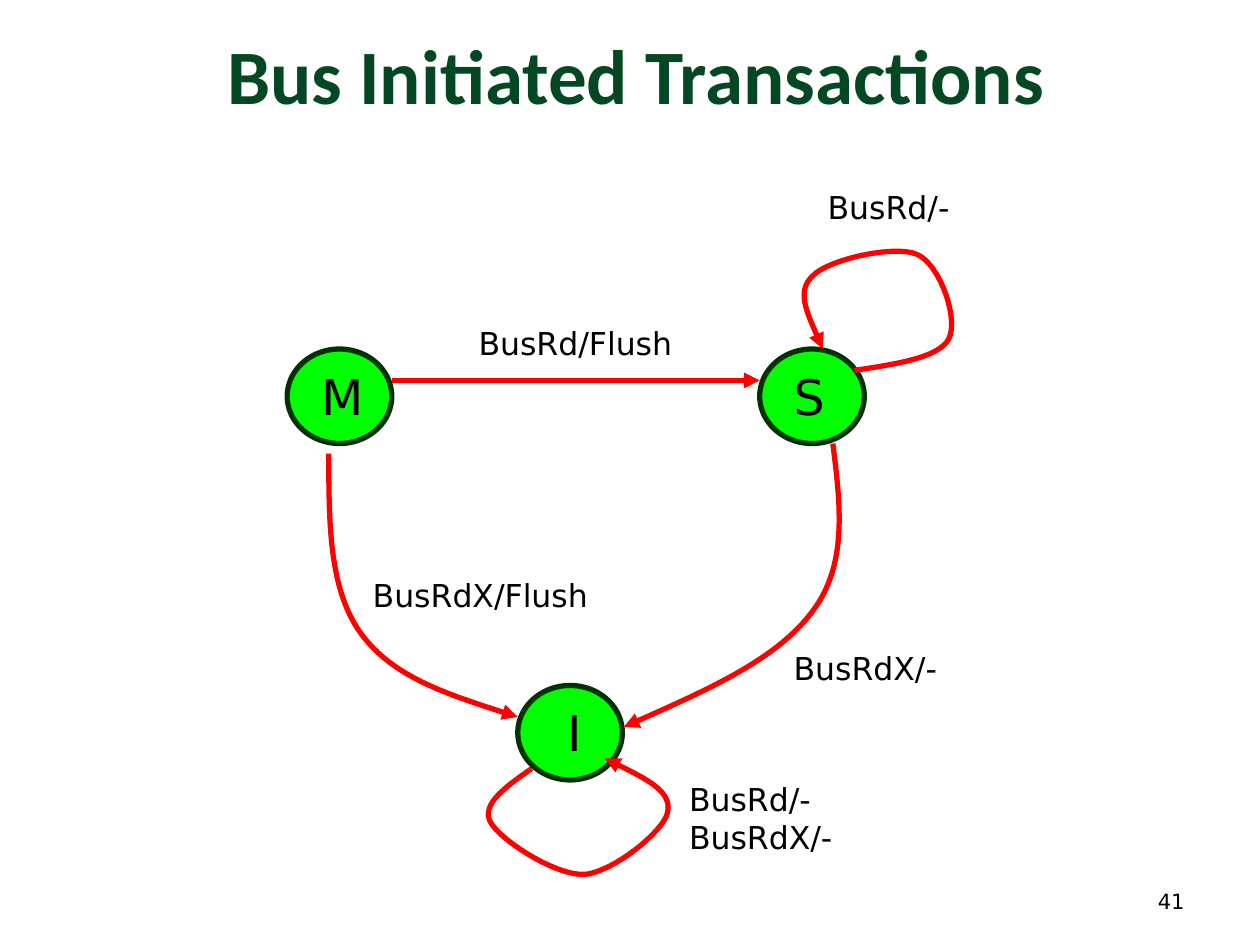
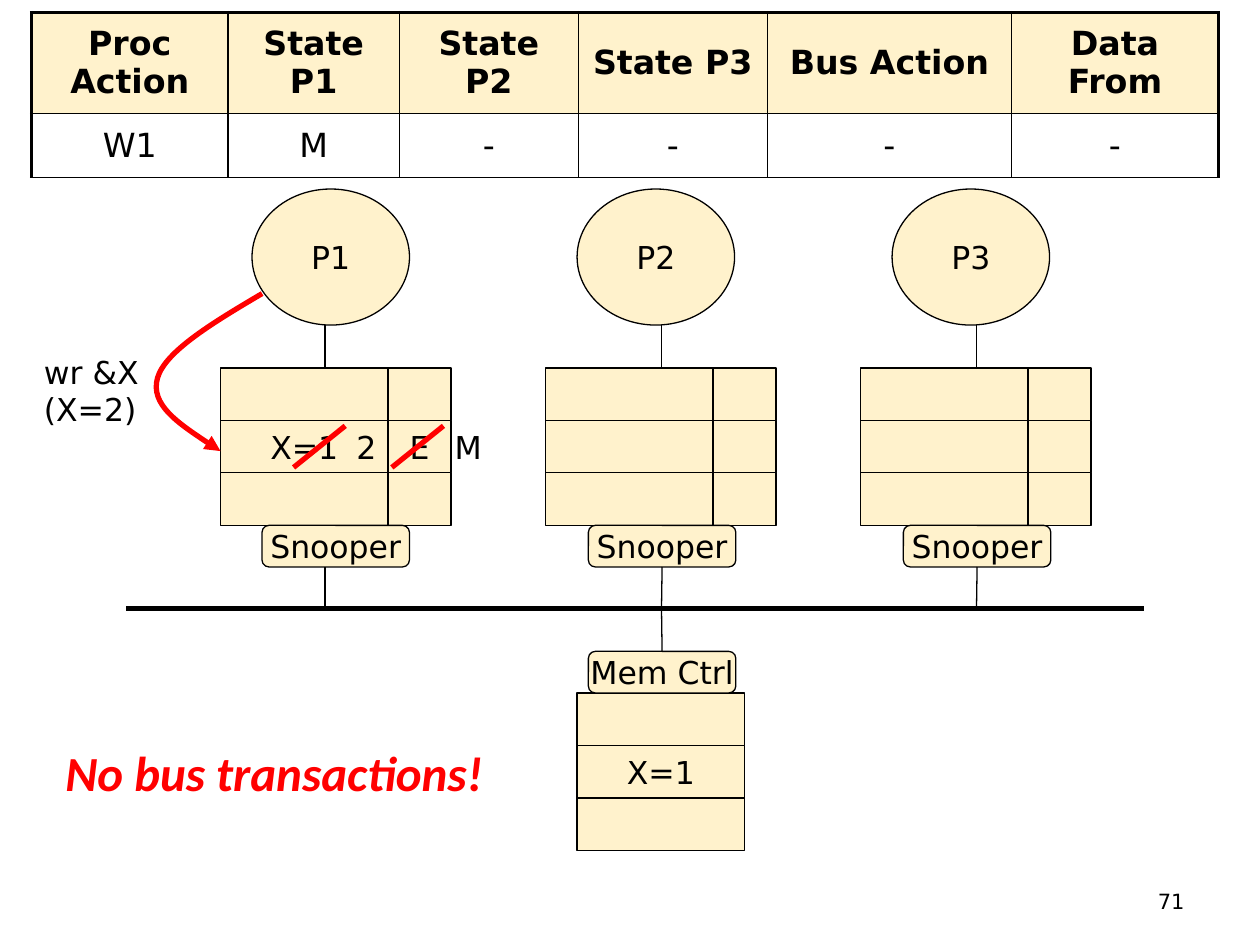
from lxml import etree
from pptx import Presentation
from pptx.dml.color import RGBColor
from pptx.enum import shapes, text
from pptx.oxml.ns import qn
from pptx.util import Inches, Pt

BLACK = RGBColor(0x00, 0x00, 0x00)
RED = RGBColor(0xFF, 0x00, 0x00)
TITLE_GREEN = RGBColor(0x04, 0x48, 0x23)
STATE_GREEN = RGBColor(0x00, 0xFF, 0x00)
OUTLINE_GREEN = RGBColor(0x00, 0x33, 0x00)
CREAM = RGBColor(0xFF, 0xF2, 0xCC)

BODY_FONT = "DejaVu Sans"
TITLE_FONT = "Calibri"
LEFT, CENTER, RIGHT = text.PP_ALIGN.LEFT, text.PP_ALIGN.CENTER, text.PP_ALIGN.RIGHT
TOP, MIDDLE = text.MSO_ANCHOR.TOP, text.MSO_ANCHOR.MIDDLE
OVAL = shapes.MSO_SHAPE.OVAL
RECTANGLE = shapes.MSO_SHAPE.RECTANGLE
ROUNDED = shapes.MSO_SHAPE.ROUNDED_RECTANGLE
SITE_TOP, SITE_BOTTOM = 0, 2

ROW_HEIGHT = 5 / 12
BLOCK_WIDTH, STATE_WIDTH = 1.33, 0.5
CACHE_TOP, MEMORY_TOP = 2.92, 5.5
BUS_Y = 4.83


def write_text(frame, content, size=18, font=BODY_FONT, color=BLACK, bold=False,
               italic=False, align=LEFT, anchor=TOP, wrap=False):
    """Fill a text frame, one paragraph for each line of content."""
    frame.word_wrap = wrap
    frame.vertical_anchor = anchor
    for index, line in enumerate(content.split("\n")):
        paragraph = frame.paragraphs[0] if index == 0 else frame.add_paragraph()
        paragraph.alignment = align
        run = paragraph.add_run()
        run.text = line
        run.font.size = Pt(size)
        run.font.name = font
        run.font.color.rgb = color
        run.font.bold = bold
        run.font.italic = italic


def set_line(line, color, width, arrow=False):
    line.color.rgb = color
    line.width = Pt(width)
    if arrow:
        etree.SubElement(line._get_or_add_ln(), qn("a:tailEnd"), type="triangle")


def set_cell_borders(cell, widths):
    """Draw the borders; widths are points for left, right, top, bottom."""
    properties = cell._tc.get_or_add_tcPr()
    for side, width in zip("LRTB", widths):
        border = etree.SubElement(properties, qn(f"a:ln{side}"), w=str(Pt(width)))
        fill = etree.SubElement(border, qn("a:solidFill"))
        etree.SubElement(fill, qn("a:srgbClr"), val=str(BLACK))


class Deck:
    """Holds the presentation, its style and the current slide."""

    def __init__(self):
        self.presentation = Presentation()
        self.presentation.slide_width = Inches(10)
        self.presentation.slide_height = Inches(7.5)
        self.slide = None

    def new_slide(self, number):
        self.slide = self.presentation.slides.add_slide(self.presentation.slide_layouts[6])
        self.text(number, 7.17, 6.95, 2.33, 0.4, size=12, align=RIGHT,
                  anchor=MIDDLE, wrap=True)

    def title(self, content):
        self.text(content, 0.28, -0.04, 9.54, 1.25, size=44, font=TITLE_FONT, bold=True,
                  color=TITLE_GREEN, align=CENTER, anchor=MIDDLE, wrap=True)

    def text(self, content, left, top, width, height, **style):
        box = self.slide.shapes.add_textbox(
            Inches(left), Inches(top), Inches(width), Inches(height))
        write_text(box.text_frame, content, **style)

    def shape(self, kind, left, top, width, height, label="",
              fill=CREAM, line=BLACK, line_width=0.75):
        shape = self.slide.shapes.add_shape(
            kind, Inches(left), Inches(top), Inches(width), Inches(height))
        shape.shadow.inherit = False
        shape.fill.solid()
        shape.fill.fore_color.rgb = fill
        set_line(shape.line, line, line_width)
        if label:
            write_text(shape.text_frame, label, align=CENTER, anchor=MIDDLE)
        return shape

    def line(self, start, end, color=BLACK, width=0.75, arrow=False):
        connector = self.slide.shapes.add_connector(
            shapes.MSO_CONNECTOR.STRAIGHT, *map(Inches, start + end))
        set_line(connector.line, color, width, arrow)
        etree.SubElement(connector._element.spPr, qn("a:effectLst"))
        return connector

    def curved_arrow(self, start, *points):
        """Draw cubic curves; each takes two control points and an end point."""
        builder = self.slide.shapes.build_freeform(*map(Inches, start))
        builder.add_line_segments(
            [(Inches(x), Inches(y)) for x, y in points], close=False)
        shape = builder.convert_to_shape()
        segments = list(shape._element.iter(qn("a:lnTo")))
        for first in range(0, len(segments), 3):
            curve = etree.Element(qn("a:cubicBezTo"))
            segments[first].addprevious(curve)
            for segment in segments[first:first + 3]:
                curve.append(segment[0])
                segment.getparent().remove(segment)
        shape.shadow.inherit = False
        shape.fill.background()
        set_line(shape.line, RED, 3, arrow=True)

    def state(self, name, left, top):
        self.shape(OVAL, left, top, 0.83, 0.75, fill=STATE_GREEN,
                   line=OUTLINE_GREEN, line_width=3)
        self.text(name, left + 0.17, top + 0.09, 0.5, 0.57, size=28, wrap=True)

    def cells(self, left, top, width, labels):
        """Stack one box for each label."""
        for row, label in enumerate(labels):
            self.shape(RECTANGLE, left, top + row * ROW_HEIGHT, width, ROW_HEIGHT, label)

    def controller(self, label, left, top):
        return self.shape(ROUNDED, left, top, 1.17, 0.33, label)

    def processor(self, name, left, wire_x, snooper_left, data="", state=""):
        self.shape(OVAL, left + 0.25, 1.5, 1.25, 1.08, name)
        self.line((wire_x, 2.58), (wire_x, CACHE_TOP))
        self.cells(left, CACHE_TOP, BLOCK_WIDTH, ["", data, ""])
        self.cells(left + BLOCK_WIDTH, CACHE_TOP, STATE_WIDTH, ["", state, ""])
        snooper = self.controller("Snooper", snooper_left, 4.17)
        wire = self.line((wire_x, 4.5), (wire_x, BUS_Y))
        if abs(snooper_left + 1.17 / 2 - wire_x) < 0.01:
            wire.begin_connect(snooper, SITE_BOTTOM)

    def table(self, rows, left, top, column_widths, row_heights):
        table = self.slide.shapes.add_table(
            len(rows), len(column_widths), Inches(left), Inches(top),
            Inches(sum(column_widths)), Inches(sum(row_heights))).table
        table.first_row = table.horz_banding = False
        for column, width in zip(table.columns, column_widths):
            column.width = Inches(width)
        last = len(column_widths) - 1
        for row, labels in enumerate(rows):
            table.rows[row].height = Inches(row_heights[row])
            header = row == 0
            for column, label in enumerate(labels):
                cell = table.cell(row, column)
                outer = [column == 0, column == last, header, False]
                set_cell_borders(cell, [2.25 if edge else 1 for edge in outer])
                if header:
                    cell.fill.solid()
                    cell.fill.fore_color.rgb = CREAM
                else:
                    cell.fill.background()
                write_text(cell.text_frame, label, size=19, bold=header,
                           align=CENTER, wrap=True)
                cell.vertical_anchor = MIDDLE


def build_bus_transactions(deck):
    deck.new_slide("41")
    deck.title("Bus Initiated Transactions")
    for name, left, top in [("M", 2.28, 2.77), (" I", 4.11, 5.44), ("S", 6.03, 2.77)]:
        deck.state(name, left, top)

    modified_to_invalid = [(2.61, 3.6), (2.61, 4.14), (2.61, 4.67), (2.86, 5.02),
                           (3.11, 5.37), (3.61, 5.53), (4.11, 5.69)]
    shared_to_invalid = [(6.61, 3.52), (6.67, 4), (6.73, 4.48), (6.45, 4.85),
                         (6.17, 5.23), (5.56, 5.5), (4.95, 5.77)]
    shared_loop = [(6.78, 2.94), (7.11, 2.89), (7.45, 2.84), (7.53, 2.69), (7.61, 2.53),
                   (7.46, 2.1), (7.28, 2.02), (7.1, 1.94), (6.57, 2.06), (6.45, 2.19),
                   (6.32, 2.31), (6.43, 2.54), (6.53, 2.77)]
    invalid_loop = [(4.22, 6.1), (4.02, 6.24), (3.82, 6.38), (3.89, 6.52), (3.96, 6.66),
                    (4.4, 6.95), (4.64, 6.94), (4.87, 6.92), (5.28, 6.59), (5.3, 6.44),
                    (5.33, 6.28), (5.07, 6.15), (4.8, 6.02)]
    for points in (modified_to_invalid, shared_to_invalid, shared_loop, invalid_loop):
        deck.curved_arrow(*points)
    deck.line((3.11, 3.02), (6.03, 3.02), color=RED, width=3, arrow=True)

    for label, left, top, width, height in [
        ("BusRdX/Flush", 2.86, 4.52, 1.93, 0.4),
        ("BusRdX/-", 6.2, 5.1, 1.39, 0.4),
        ("BusRd/-", 6.47, 1.44, 1.22, 0.4),
        ("BusRd/Flush", 3.7, 2.52, 1.76, 0.4),
        ("BusRd/-\nBusRdX/-", 5.37, 6.14, 1.39, 0.7),
    ]:
        deck.text(label, left, top, width, height)


def build_write_hit(deck):
    deck.new_slide("71")
    deck.processor("P1", 1.75, 2.58, 2.08, data="X=1", state="E")
    deck.processor("P2", 4.33, 5.25, 4.67)
    deck.processor("P3", 6.83, 7.75, 7.17)
    deck.line((1, BUS_Y), (9.08, BUS_Y), width=3.25)

    deck.cells(4.58, MEMORY_TOP, BLOCK_WIDTH, ["", "X=1", ""])
    memory_controller = deck.controller("Mem Ctrl", 4.67, 5.17)
    memory_wire = deck.line((5.25, BUS_Y), (5.25, 5.17))
    memory_wire.end_connect(memory_controller, SITE_TOP)

    deck.curved_arrow((2.08, 2.33), (1.69, 2.56), (1.31, 2.79), (1.25, 3),
                      (1.19, 3.21), (1.47, 3.4), (1.75, 3.58))
    deck.text("wr &X\n(X=2)", 0.25, 2.75, 0.96, 0.7)
    for new_value, strike_left, width in [("M", 3.11, 0.41), ("2", 2.33, 0.36)]:
        deck.line((strike_left, 3.71), (strike_left + 0.41, 3.38), color=RED, width=3)
        deck.text(new_value, strike_left + 0.4, 3.35, width, 0.4)

    deck.table(
        [["Proc Action", "State P1", "State P2", "State P3", "Bus Action", "Data From"],
         ["W1", "M", "-", "-", "-", "-"]],
        0.25, 0.1, [1.56, 1.36, 1.42, 1.5, 1.94, 1.64], [0.8, 0.51])
    deck.text("No bus transactions!", 0.42, 5.84, 3.55, 0.57, size=28,
              font=TITLE_FONT, color=RED, bold=True, italic=True)


def main():
    deck = Deck()
    build_bus_transactions(deck)
    build_write_hit(deck)
    deck.presentation.save("out.pptx")


if __name__ == "__main__":
    main()
